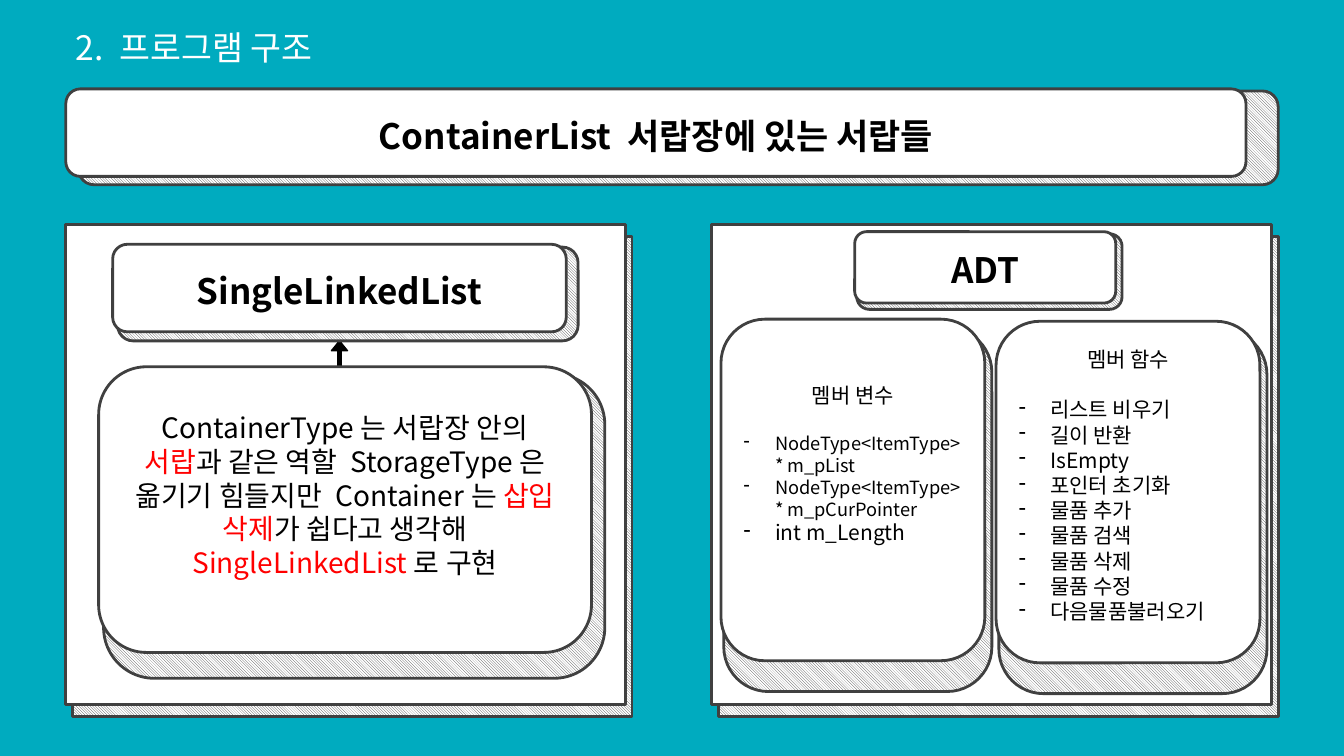
from pptx import Presentation
from pptx.dml.color import RGBColor
from pptx.enum.dml import MSO_PATTERN
from pptx.enum.shapes import MSO_CONNECTOR, MSO_SHAPE
from pptx.enum.text import MSO_ANCHOR, PP_ALIGN
from pptx.oxml.ns import qn
from pptx.util import Pt
from lxml import etree

FONT = "Noto Sans CJK KR"
COLORS = {name: RGBColor.from_string(value) for name, value in {
    "teal": "00ABBF", "white": "FFFFFF", "black": "000000",
    "gray": "404040", "red": "FF0000"}.items()}

prs = Presentation()
prs.slide_width, prs.slide_height = Pt(960), Pt(540)
slide = prs.slides.add_slide(prs.slide_layouts[6])
slide.background.fill.solid()
slide.background.fill.fore_color.rgb = COLORS["teal"]


def add_card(kind, back, front):
    """Add a hatched back plate and a white front plate; return the front."""
    for box in (back, front):
        plate = slide.shapes.add_shape(kind, *[Pt(v) for v in box])
        plate.shadow.inherit = False
        plate.line.color.rgb = COLORS["gray"]
        plate.line.width = Pt(2)
        if box is back:
            plate.fill.patterned()
            plate.fill.pattern = MSO_PATTERN.DARK_DOWNWARD_DIAGONAL
            plate.fill.fore_color.rgb = COLORS["gray"]
            plate.fill.back_color.rgb = COLORS["white"]
        else:
            plate.fill.solid()
            plate.fill.fore_color.rgb = COLORS["white"]
    frame = plate.text_frame
    frame.word_wrap = True
    frame.vertical_anchor = MSO_ANCHOR.MIDDLE
    return frame


def write(frame, runs, size, bold=False, align=PP_ALIGN.CENTER, line=1.2):
    """Write (text, color) runs into the first free paragraph."""
    first = frame.paragraphs[0]
    paragraph = frame.add_paragraph() if first.runs else first
    paragraph.alignment = align
    paragraph.line_spacing = Pt(size * line)
    for text, color in runs:
        run = paragraph.add_run()
        run.text = text
        run.font.size, run.font.bold, run.font.name = Pt(size), bold, FONT
        run.font.color.rgb = COLORS[color]
        etree.SubElement(run.font._element, qn("a:ea"), typeface=FONT)
    return paragraph


# Two white panels
for x in (47, 508.5):
    add_card(MSO_SHAPE.RECTANGLE, (x + 4.5, 169, 400, 343), (x, 160.5, 400, 343))

# Arrow from the description up to the list type
shaft = slide.shapes.add_connector(
    MSO_CONNECTOR.STRAIGHT, Pt(242.5), Pt(237), Pt(242.5), Pt(274))
shaft.line.color.rgb = COLORS["black"]
shaft.line.width = Pt(3)
etree.SubElement(shaft._element.spPr, qn("a:effectLst"))
head = slide.shapes.add_shape(
    MSO_SHAPE.ISOSCELES_TRIANGLE, Pt(236.75), Pt(243.5), Pt(11.5), Pt(7))
head.shadow.inherit = False
head.fill.solid()
head.fill.fore_color.rgb = head.line.color.rgb = COLORS["black"]
head.line.width = Pt(1)

# Description card
frame = add_card(MSO_SHAPE.ROUNDED_RECTANGLE,
                 (74, 267, 358, 217.5), (70.5, 262, 352, 204))
frame.margin_top, frame.margin_bottom = Pt(6.5), Pt(27.5)
write(frame, [
    ("ContainerType는 서랍장 안의 ", "black"), ("서랍", "red"),
    ("과 같은 역할 StorageType은 옮기기 힘들지만 Container는 ", "black"),
    ("삽입 삭제", "red"), ("가 쉽다고 생각해 ", "black"),
    ("SingleLinkedList", "red"), ("로 구현", "black")], 20)

# Member cards: left, top, bottom margin, title, items with sizes
functions = ["리스트 비우기", "길이 반환", "IsEmpty", "포인터 초기화", "물품 추가",
             "물품 검색", "물품 삭제", "물품 수정", "다음물품불러오기"]
members = [
    (515, 228, 43, "멤버 변수", [("NodeType<ItemType>* m_pList", 13),
                              ("NodeType<ItemType>* m_pCurPointer", 13),
                              ("int m_Length", 15)]),
    (711.5, 229.5, 15.5, "멤버 함수", [(name, 15) for name in functions]),
]
for x, y, bottom, title, items in members:
    frame = add_card(MSO_SHAPE.ROUNDED_RECTANGLE,
                     (x + 2, y + 6, 191.5, 260), (x, y, 188.5, 244))
    frame.margin_top, frame.margin_bottom = Pt(5.5), Pt(bottom)
    write(frame, [(title, "black")], 15).space_after = Pt(18)
    for text, size in items:
        item = write(frame, [(text, "black")], size, align=PP_ALIGN.LEFT)
        props = item._p.get_or_add_pPr()
        props.set("marL", str(Pt(22.5)))
        props.set("indent", str(-Pt(22.5)))
        etree.SubElement(props, qn("a:buFontTx"))
        etree.SubElement(props, qn("a:buChar"), char="-")

# Heading cards
headings = [
    ("ContainerList 서랍장에 있는 서랍들", (56, 65, 857, 67), (47, 63.5, 843, 62.5)),
    ("SingleLinkedList", (84, 176.5, 329, 67), (80.5, 174.5, 324, 62.5)),
    ("ADT", (612, 167, 189.5, 54), (610.5, 165.5, 186.5, 51)),
]
for text, back, front in headings:
    frame = add_card(MSO_SHAPE.ROUNDED_RECTANGLE, back, front)
    frame.margin_top = Pt(7)
    write(frame, [(text, "black")], 25, bold=True)

# Slide title
title_box = slide.shapes.add_textbox(Pt(47), Pt(0), Pt(434), Pt(46))
frame = title_box.text_frame
frame.word_wrap = True
frame.margin_top, frame.margin_bottom = Pt(12), Pt(0)
write(frame, [("2. 프로그램 구조", "white")], 24, align=PP_ALIGN.LEFT, line=1.5)

prs.save("out.pptx")
